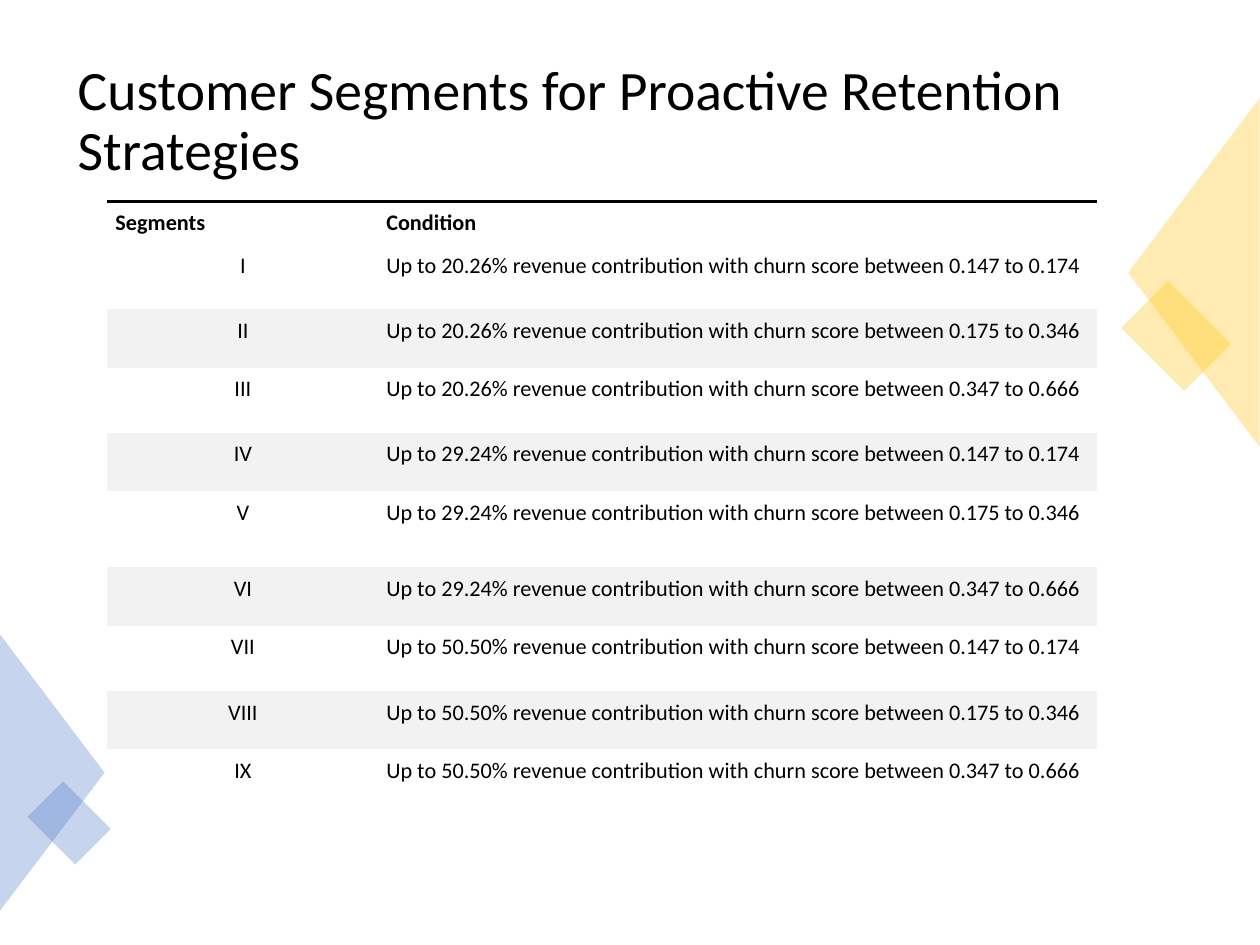
from itertools import product
from lxml import etree
from pptx import Presentation
from pptx import util as u
from pptx.dml.color import RGBColor
from pptx.enum import shapes, text
from pptx.oxml import ns

HUES = {"ink": "000000", "band": "F2F2F2", "gold": "FFC000", "blue": "4472C4"}
FONT = "Calibri"
BARE = "{2D5ABB26-0587-4C30-8999-92F81FD0307C}"
CM = 1 / 2.54
TITLE = "Customer Segments for Proactive Retention Strategies"
NAMES = ["I", "II", "III", "IV", "V", "VI", "VII", "VIII", "IX"]
SHARES = ["20.26%", "29.24%", "50.50%"]
SCORES = ["0.147 to 0.174", "0.175 to 0.346", "0.347 to 0.666"]
COLS = [2.37, 6.29]
ROWS = [0.37, 0.57, 0.51, 0.57, 0.51, 0.67, 0.51, 0.57, 0.51, 0.57]
BOX, TRI = shapes.MSO_SHAPE.RECTANGLE, shapes.MSO_SHAPE.ISOSCELES_TRIANGLE
DECOR = [
    (BOX, "gold", 45, (9.9, 2.65, 0.78, 0.58)),
    (TRI, "gold", 270, (8.92, 1.81, 3.05, 1.15)),
    (TRI, "blue", 90, (-0.76, 6.3, 2.43, 0.92)),
    (BOX, "blue", 45, (0.31, 6.98, 0.59, 0.44)),
]


def tint(name):
    return RGBColor.from_string(HUES[name])


def apply(item, form):
    for key, value in form.items():
        setattr(item, key, value)


def write(frame, words, size, bold=False, align=text.PP_ALIGN.LEFT, **form):
    para = frame.paragraphs[0]
    apply(para, {"alignment": align, **form})
    run = para.add_run()
    run.text = words
    apply(run.font, {"name": FONT, "size": u.Pt(size), "bold": bold})
    run.font.color.rgb = tint("ink")


def add_title(slide):
    title = slide.shapes.title
    apply(title, {"left": u.Inches(0.58), "top": u.Inches(0.39),
                  "width": u.Inches(9.86), "height": u.Inches(1.37)})
    apply(title.text_frame, {"word_wrap": True,
                             "auto_size": text.MSO_AUTO_SIZE.NONE,
                             "vertical_anchor": text.MSO_ANCHOR.MIDDLE})
    write(title.text_frame, TITLE, 35, line_spacing=0.9)


def add_decor(slide, kind, hue, turn, place):
    shape = slide.shapes.add_shape(kind, *map(u.Inches, place))
    shape.rotation = turn
    shape.shadow.inherit = False
    shape.line.fill.background()
    shape.fill.solid()
    shape.fill.fore_color.rgb = tint(hue)
    color = shape.fill._xPr.find(".//" + ns.qn("a:srgbClr"))
    etree.SubElement(color, ns.qn("a:alpha"), val="30000")


def rule_top(cell):
    line = etree.Element(ns.qn("a:lnT"), w=str(u.Pt(2.25)))
    fill = etree.SubElement(line, ns.qn("a:solidFill"))
    etree.SubElement(fill, ns.qn("a:srgbClr"), val=HUES["ink"])
    cell._tc.get_or_add_tcPr().insert(0, line)


def fill_cell(cell, words, row, col):
    pad = u.Inches(0.07)
    apply(cell, {"margin_left": pad, "margin_right": pad,
                 "margin_top": pad, "margin_bottom": pad})
    mid = row > 0 and col == 0
    align = text.PP_ALIGN.CENTER if mid else text.PP_ALIGN.LEFT
    write(cell.text_frame, words, 14, row == 0, align)
    if row and row % 2 == 0:
        cell.fill.solid()
        cell.fill.fore_color.rgb = tint("band")
    else:
        cell.fill.background()
    if row == 0:
        rule_top(cell)


def add_grid(slide):
    rules = [f"Up to {share} revenue contribution with churn score between {score}"
             for share, score in product(SHARES, SCORES)]
    data = [("Segments", "Condition"), *zip(NAMES, rules)]
    place = (0.94, 1.76, sum(COLS), sum(ROWS))
    table = slide.shapes.add_table(
        len(ROWS), len(COLS), *map(u.Inches, place)).table
    apply(table, {"first_row": False, "horz_banding": False})
    table._tbl.tblPr.find(ns.qn("a:tableStyleId")).text = BARE
    for col, width in zip(table.columns, COLS):
        col.width = u.Inches(width)
    for row, height in zip(table.rows, ROWS):
        row.height = u.Inches(height)
    for row, line in enumerate(data):
        for col, words in enumerate(line):
            fill_cell(table.cell(row, col), words, row, col)


def main():
    deck = Presentation()
    deck.slide_width = u.Inches(28 * CM)
    deck.slide_height = u.Inches(21 * CM)
    slide = deck.slides.add_slide(deck.slide_layouts[5])
    add_title(slide)
    for part in DECOR:
        add_decor(slide, *part)
    add_grid(slide)
    deck.save("out.pptx")


if __name__ == "__main__":
    main()
